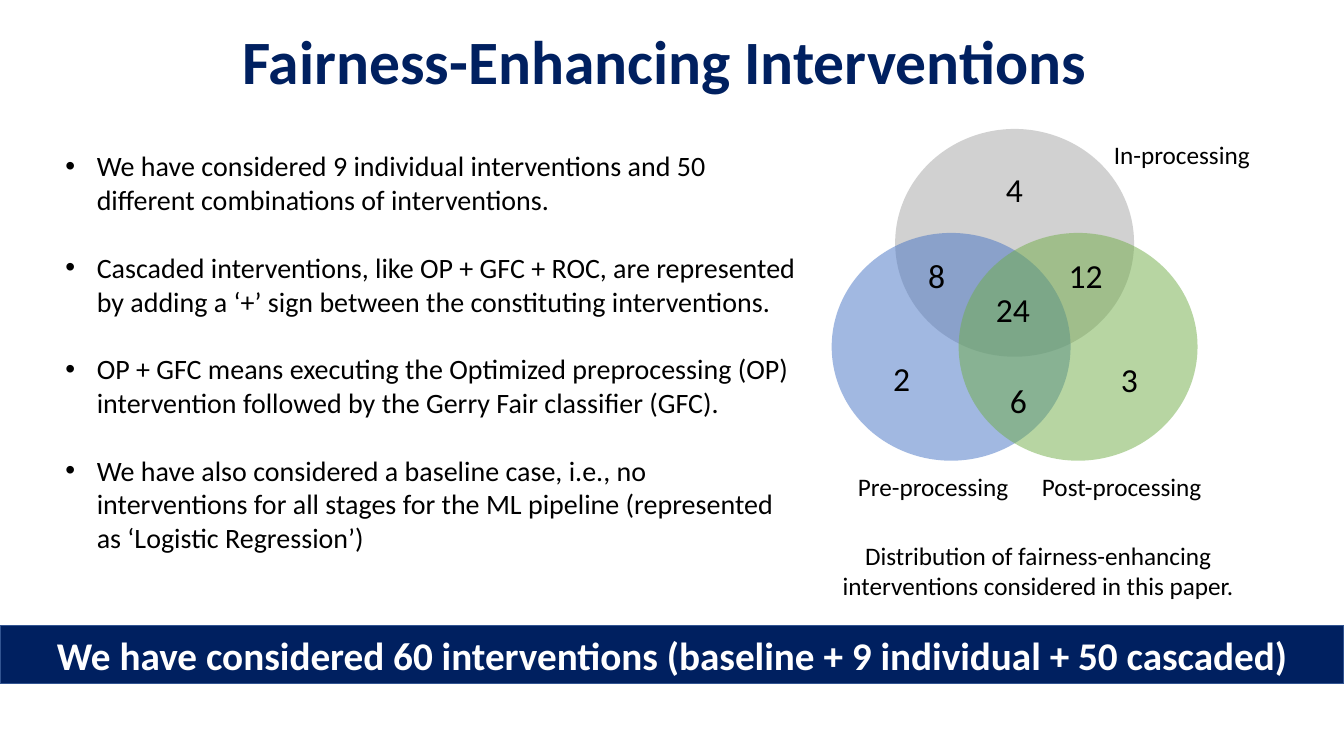
from collections import namedtuple

from lxml import etree
from pptx import Presentation
from pptx import util as u
from pptx.dml.color import RGBColor
from pptx.enum import shapes, text
from pptx.oxml import ns

Box = namedtuple("Box", "left top width height")

COLOURS = {
    "navy": "002060",
    "edge": "325491",
    "ink": "000000",
    "paper": "FFFFFF",
    "in": "A5A5A5",
    "pre": "4472C4",
    "post": "70AD47",
}
FONT = "Calibri"
CENTRE = text.PP_ALIGN.CENTER
MIDDLE = text.MSO_ANCHOR.MIDDLE

POINTS = [
    "We have considered 9 individual interventions and 50 different combinations of interventions.",
    "Cascaded interventions, like OP + GFC + ROC, are represented by adding a ‘+’ sign "
    "between the constituting interventions.",
    "OP + GFC means executing the Optimized preprocessing (OP) intervention followed by "
    "the Gerry Fair classifier (GFC).",
    "We have also considered a baseline case, i.e., no interventions for all stages for "
    "the ML pipeline (represented as ‘Logistic Regression’)",
]
CIRCLES = [("in", 1.6, 0), ("pre", 0, 2.62), ("post", 3.2, 2.62)]
STAGES = [
    ("In-processing", 6.86, 0.13),
    ("Pre-processing", 0.41, 8.51),
    ("Post-processing", 5.05, 8.51),
]
COUNTS = [
    ("4", 4.14, 0.89),
    ("3", 7.04, 5.66),
    ("12", 5.72, 3.05),
    ("8", 2.18, 3.05),
    ("2", 1.3, 5.64),
    ("24", 3.89, 3.91),
    ("6", 4.24, 6.2),
]


def colour(name):
    """Return the named colour."""
    return RGBColor.from_string(COLOURS[name])


def lengths(box):
    """Return the sides of a box in centimetres as slide lengths."""
    return [u.Cm(side) for side in box]


def add_span(para, words, size, ink="ink", bold=False):
    """Add one formatted run to a paragraph."""
    span = para.add_run()
    span.text = words
    span.font.name = FONT
    span.font.size = u.Pt(size)
    span.font.bold = bold
    span.font.color.rgb = colour(ink)


def add_frame(page, box):
    """Add a wrapping text box and return its frame."""
    frame = page.shapes.add_textbox(*lengths(box)).text_frame
    frame.word_wrap = True
    return frame


def add_label(page, box, words, size, align=None):
    """Add a text box holding one paragraph."""
    para = add_frame(page, box).paragraphs[0]
    para.alignment = align
    add_span(para, words, size)


def add_title(page, box):
    """Place the heading in its box."""
    frame = add_frame(page, box)
    frame.vertical_anchor = MIDDLE
    para = frame.paragraphs[0]
    para.alignment = CENTRE
    para.line_spacing = 0.9
    add_span(para, "Fairness-Enhancing Interventions", 44, "navy", True)


def add_points(page, box):
    """Place the bulleted points, one empty line's height apart."""
    frame = add_frame(page, box)
    for index, words in enumerate(POINTS):
        para = frame.add_paragraph() if index else frame.paragraphs[0]
        properties = para._p.get_or_add_pPr()
        properties.set("marL", str(u.Cm(0.79)))
        properties.set("indent", str(-u.Cm(0.79)))
        etree.SubElement(properties, ns.qn("a:buFont"), typeface="Arial")
        etree.SubElement(properties, ns.qn("a:buChar"), char="•")
        if index:
            para.space_before = u.Pt(24.4)
        add_span(para, words, 20)


def add_circle(page, box, fill):
    """Add a half-transparent ellipse without an outline."""
    circle = page.shapes.add_shape(shapes.MSO_SHAPE.OVAL, *lengths(box))
    circle.shadow.inherit = False
    circle.fill.solid()
    circle.fill.fore_color.rgb = colour(fill)
    circle.line.fill.background()
    tint = circle._element.spPr.find(".//" + ns.qn("a:srgbClr"))
    etree.SubElement(tint, ns.qn("a:alpha"), val="50000")


def add_venn(page, box):
    """Place the Venn diagram with its counts, stage names and caption."""
    for fill, across, down in CIRCLES:
        add_circle(page, Box(box.left + across, box.top + down, 6.02, 5.74), fill)
    for labels, width, height, size in ((STAGES, 5.1, 1.03, 18), (COUNTS, 1.63, 1.28, 24)):
        for words, across, down in labels:
            add_label(page, Box(box.left + across, box.top + down, width, height), words, size)
    caption = "Distribution of fairness-enhancing interventions considered in this paper."
    add_label(page, Box(box.left - 0.56, box.top + box.height - 1.8, 11.53, 1.8), caption, 18, CENTRE)


def add_banner(page, box):
    """Place the full-width summary bar."""
    banner = page.shapes.add_shape(shapes.MSO_SHAPE.RECTANGLE, *lengths(box))
    banner.shadow.inherit = False
    banner.fill.solid()
    banner.fill.fore_color.rgb = colour("navy")
    banner.line.color.rgb = colour("edge")
    banner.line.width = u.Pt(1)
    frame = banner.text_frame
    frame.word_wrap = True
    frame.vertical_anchor = MIDDLE
    para = frame.paragraphs[0]
    para.alignment = CENTRE
    words = "We have considered 60 interventions (baseline + 9 individual + 50 cascaded)"
    add_span(para, words, 28, "paper", True)


def main():
    """Build the slide and save the deck."""
    deck = Presentation()
    deck.slide_width, deck.slide_height = u.Cm(33.87), u.Cm(19.05)
    page = deck.slides.add_slide(deck.slide_layouts[6])
    add_title(page, Box(1.8, 0.28, 29.92, 2.69))
    add_points(page, Box(1.4, 3.63, 18.95, 10.52))
    add_banner(page, Box(0, 15.77, 33.87, 1.45))
    add_venn(page, Box(20.96, 3.25, 10.97, 12.04))
    deck.save("out.pptx")


if __name__ == "__main__":
    main()
